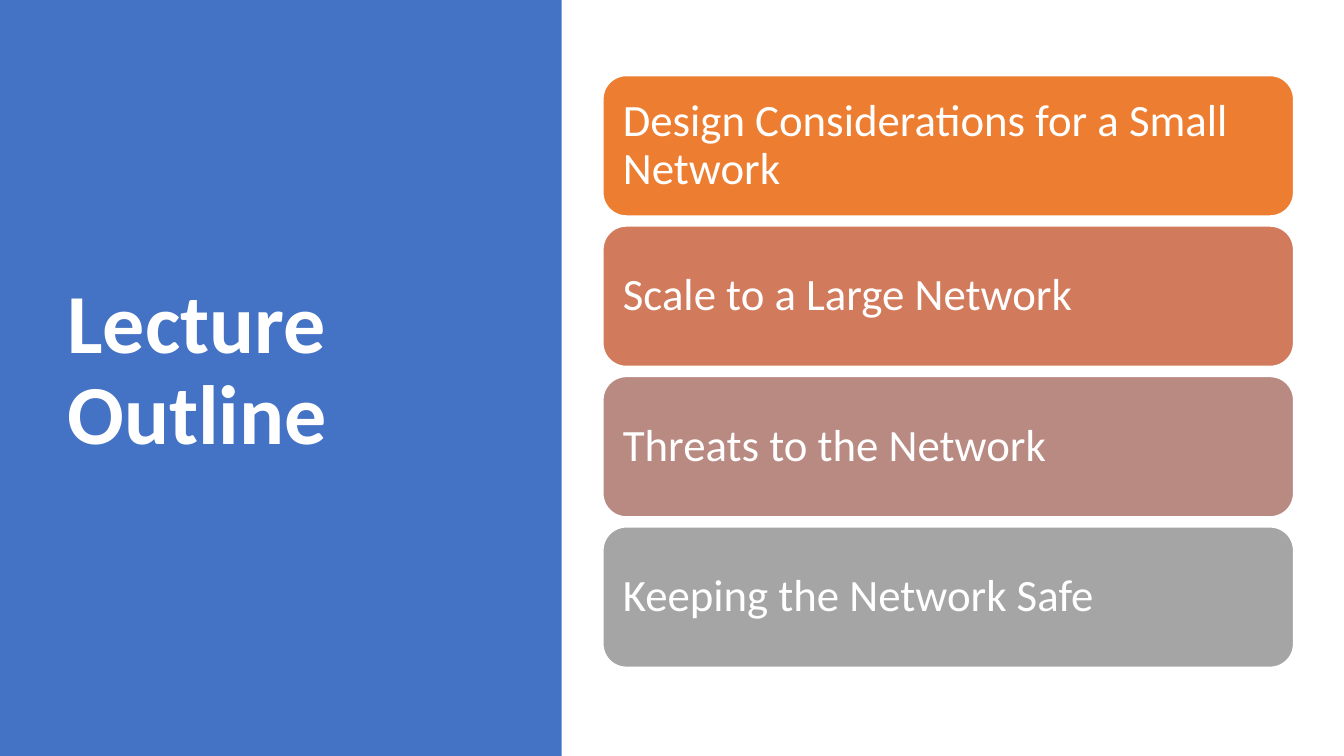
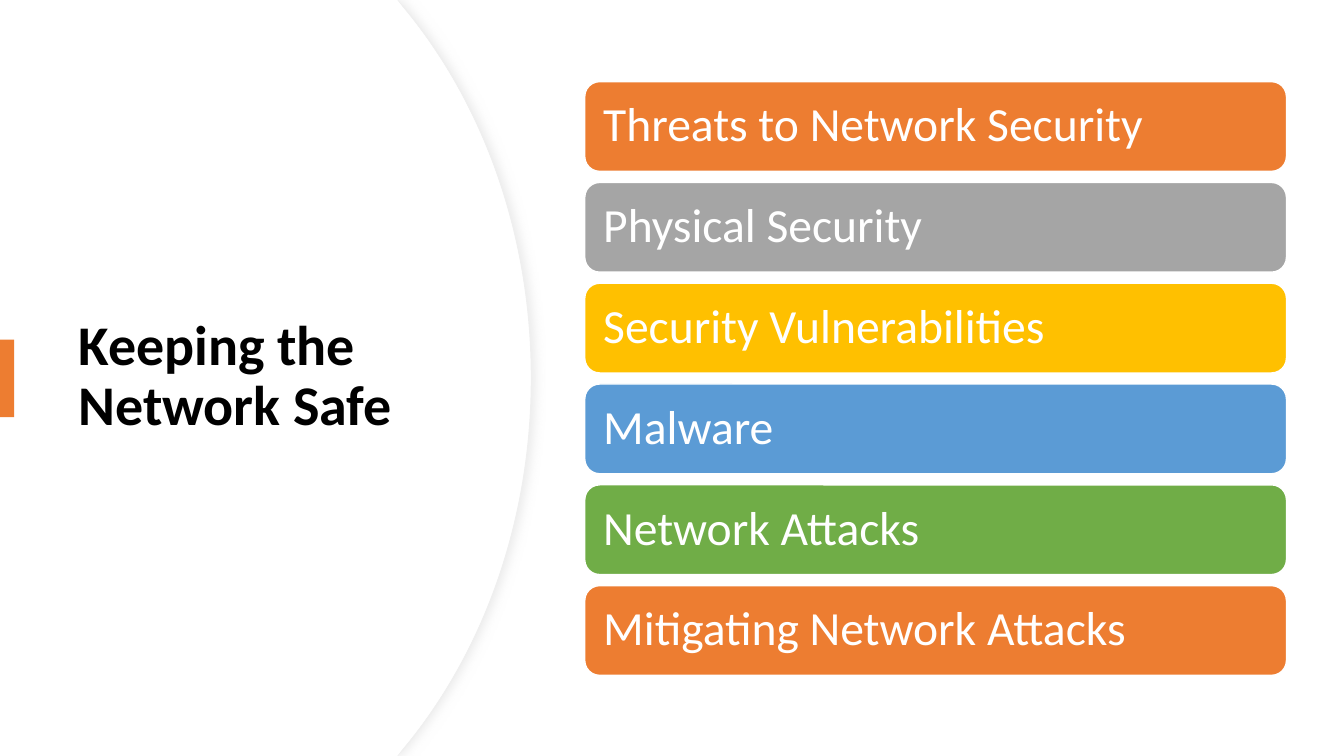
import pptx
import pptx.util
import pptx.dml.color
import pptx.enum.shapes
import pptx.enum.text
from lxml import etree

WIDTH, HEIGHT = 13.33, 7.5
FONT = "Calibri"
WHITE, BLACK, BLUE, ORANGE, GREY = "FFFFFF", "000000", "4472C4", "ED7D31", "A5A5A5"
DRAWING = "http://schemas.openxmlformats.org/drawingml/2006/main"
RECTANGLE = pptx.enum.shapes.MSO_SHAPE.RECTANGLE
ROUNDED = pptx.enum.shapes.MSO_SHAPE.ROUNDED_RECTANGLE

OUTLINE = {
    "title": "Lecture Outline",
    "title_box": (0.57, 0.68, 4.16, 6.02),
    "title_size": 60,
    "title_color": WHITE,
    "bars": [
        ("Design Considerations for a Small Network", ORANGE),
        ("Scale to a Large Network", "D17B5C"),
        ("Threats to the Network", "B98A82"),
        ("Keeping the Network Safe", GREY),
    ],
    "column": (5.98, 0.75, 6.85, 5.87),
    "gap": 0.1,
    "bar_size": 32,
    "inset": 0.13,
}
SAFETY = {
    "title": "Keeping the Network Safe",
    "title_box": (0.68, 1.27, 3.94, 4.95),
    "title_size": 40,
    "title_color": BLACK,
    "bars": [
        ("Threats to Network Security", ORANGE),
        ("Physical Security", GREY),
        ("Security Vulnerabilities", "FFC000"),
        ("Malware", "5B9BD5"),
        ("Network Attacks", "70AD47"),
        ("Mitigating Network Attacks", ORANGE),
    ],
    "column": (5.8, 0.81, 6.96, 5.89),
    "gap": 0.11,
    "bar_size": 34,
    "inset": 0.14,
}


def inches(*lengths):
    return [pptx.util.Inches(length) for length in lengths]


def color(value):
    return pptx.dml.color.RGBColor.from_string(value)


def paint(shape, fill, line=None, line_width=1):
    shape.shadow.inherit = False
    shape.fill.solid()
    shape.fill.fore_color.rgb = color(fill)
    if line:
        shape.line.color.rgb = color(line)
        shape.line.width = pptx.util.Pt(line_width)
    else:
        shape.line.fill.background()


def add_block(slide, kind, box, fill, line=None):
    block = slide.shapes.add_shape(kind, *inches(*box))
    paint(block, fill, line)
    return block


def write(shape, text, size, text_color, bold=False):
    frame = shape.text_frame
    frame.word_wrap = True
    frame.vertical_anchor = pptx.enum.text.MSO_ANCHOR.MIDDLE
    paragraph = frame.paragraphs[0]
    paragraph.text = text
    paragraph.alignment = pptx.enum.text.PP_ALIGN.LEFT
    paragraph.line_spacing = 0.9
    paragraph.font.name = FONT
    paragraph.font.size = pptx.util.Pt(size)
    paragraph.font.bold = bold
    paragraph.font.color.rgb = color(text_color)
    return frame


def add_title(slide, content):
    title = slide.shapes.add_textbox(*inches(*content["title_box"]))
    write(title, content["title"], content["title_size"], content["title_color"], bold=True)


def add_bars(slide, content):
    left, top, width, height = content["column"]
    pitch = (height + content["gap"]) / len(content["bars"])
    for row, (text, fill) in enumerate(content["bars"]):
        box = (left, top + row * pitch, width, pitch - content["gap"])
        bar = add_block(slide, ROUNDED, box, fill, WHITE)
        frame = write(bar, text, content["bar_size"], WHITE)
        inset = pptx.util.Inches(content["inset"])
        frame.margin_left = frame.margin_right = inset
        frame.margin_top = frame.margin_bottom = inset


def bend(lines):
    curve = etree.Element(f"{{{DRAWING}}}cubicBezTo")
    lines[0].addprevious(curve)
    for line in lines:
        curve.append(line[0])
        line.getparent().remove(line)


def add_dome(slide, right):
    upper = [
        (3.94, 0), (right - 1.26, 0.08),
        (right - 0.48, 1.02), (right, 2.32), (right, HEIGHT / 2),
    ]
    lower = [(x, HEIGHT - y) for x, y in reversed(upper[:-1])]
    builder = slide.shapes.build_freeform(0, 0)
    builder.add_line_segments([inches(*point) for point in upper + lower + [(0, HEIGHT)]])
    dome = builder.convert_to_shape()
    lines = list(dome._element.spPr.iter(f"{{{DRAWING}}}lnTo"))
    bend(lines[2:5])
    bend(lines[5:8])
    return dome


def add_soft_shadow(shape, tint, opacity, blur, distance):
    effects = shape._element.spPr.find(f"{{{DRAWING}}}effectLst")
    shadow = etree.SubElement(
        effects, f"{{{DRAWING}}}outerShdw",
        blurRad=str(pptx.util.Pt(blur)), dist=str(pptx.util.Pt(distance)),
        dir="0", algn="l", rotWithShape="0",
    )
    shade = etree.SubElement(shadow, f"{{{DRAWING}}}srgbClr", val=tint)
    etree.SubElement(shade, f"{{{DRAWING}}}alpha", val=str(opacity * 1000))


def build_outline(slide):
    add_block(slide, RECTANGLE, (0, 0, 5.57, HEIGHT), BLUE)
    add_title(slide, OUTLINE)
    add_bars(slide, OUTLINE)


def build_safety(slide):
    rim = add_dome(slide, 5.27)
    paint(rim, WHITE, "EFEFEF", 0.75)
    add_soft_shadow(rim, "D9D9D9", 50, 7, 3)
    paint(add_dome(slide, 5.26), WHITE)
    add_title(slide, SAFETY)
    add_block(slide, RECTANGLE, (0, 3.37, 0.14, 0.77), ORANGE)
    add_bars(slide, SAFETY)


def main():
    deck = pptx.Presentation()
    deck.slide_width, deck.slide_height = inches(WIDTH, HEIGHT)
    for build in (build_outline, build_safety):
        build(deck.slides.add_slide(deck.slide_layouts[6]))
    deck.save("out.pptx")


if __name__ == "__main__":
    main()
